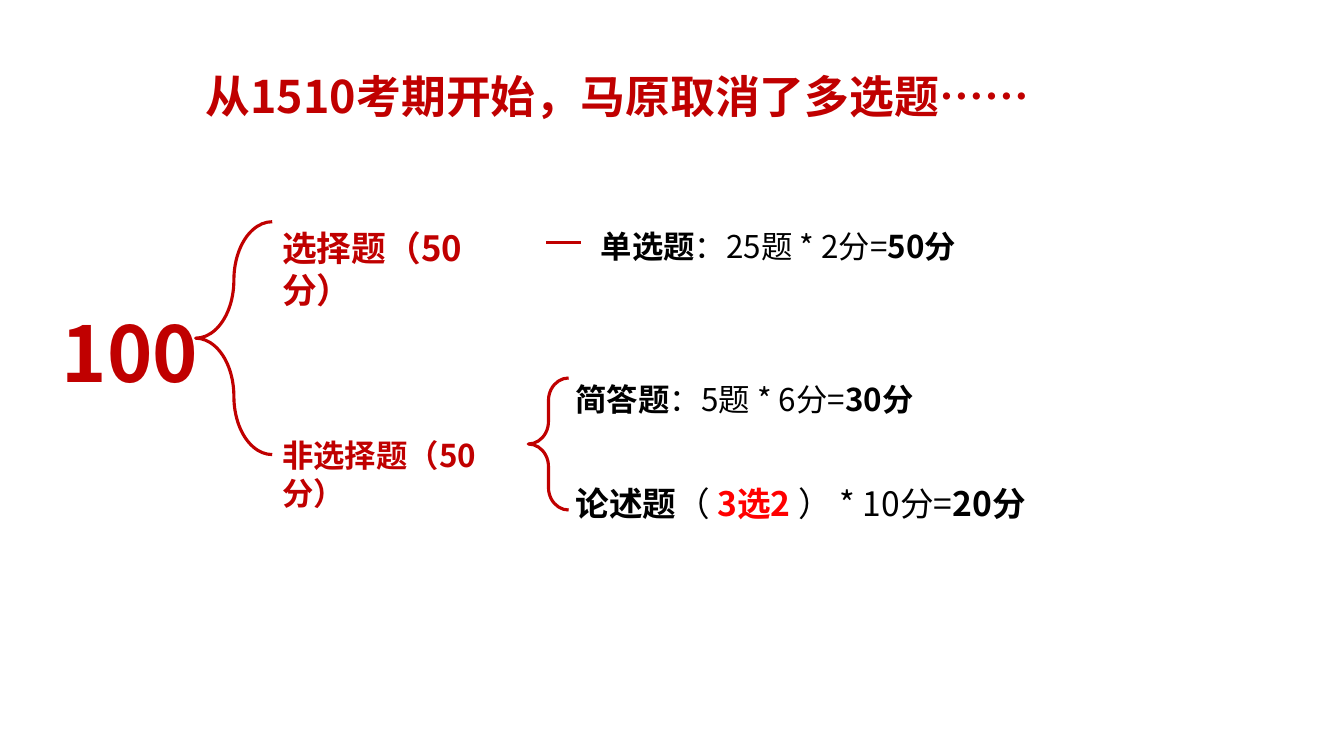
from lxml import etree
from pptx import Presentation
from pptx.dml.color import RGBColor
from pptx.enum.shapes import MSO_CONNECTOR, MSO_SHAPE
from pptx.enum.text import MSO_ANCHOR, MSO_AUTO_SIZE, PP_ALIGN
from pptx.oxml.ns import qn
from pptx.util import Inches, Pt

LINE = MSO_CONNECTOR.STRAIGHT
BRACE = MSO_SHAPE.LEFT_BRACE
TOP = MSO_ANCHOR.TOP
FIXED = MSO_AUTO_SIZE.NONE
LEFT, CENTER = PP_ALIGN.LEFT, PP_ALIGN.CENTER

DARK = RGBColor(0xC0, 0x00, 0x00)
RED = RGBColor(0xFF, 0x00, 0x00)
BLACK = RGBColor(0x00, 0x00, 0x00)
SANS = "Noto Sans CJK SC"
SCORE = "Noto Sans CJK JP"
STROKE = Pt(2.25)
ROW = 0.61


def write(shape, runs, size, align=LEFT, face=SANS):
    """Fill a shape with one paragraph of (text, bold, colour) runs."""
    frame = shape.text_frame
    frame.word_wrap = True
    frame.auto_size = FIXED
    frame.vertical_anchor = TOP
    para = frame.paragraphs[0]
    para.alignment = align
    for text, bold, color in runs:
        run = para.add_run()
        run.text = text
        font = run.font
        font.name, font.size, font.bold = face, Pt(size), bold
        font.color.rgb = color
        east = etree.Element(qn("a:ea"), typeface=face)
        run._r.rPr.find(qn("a:latin")).addnext(east)


def add_text(slide, box, runs, size, align=LEFT, face=SANS):
    shape = slide.shapes.add_textbox(*map(Inches, box))
    write(shape, runs, size, align, face)


def add_brace(slide, box, curve):
    brace = slide.shapes.add_shape(BRACE, *map(Inches, box))
    brace.shadow.inherit = False
    brace.fill.background()
    brace.line.color.rgb = DARK
    brace.line.width = STROKE
    brace.adjustments[0] = curve
    brace.adjustments[1] = 0.5


def add_dash(slide, left, top, width):
    dash = slide.shapes.add_connector(
        LINE, Inches(left), Inches(top), Inches(left + width), Inches(top))
    dash.line.color.rgb = DARK
    dash.line.width = STROKE
    etree.SubElement(dash._element.spPr, qn("a:effectLst"))


def add_title(slide, box):
    title = slide.shapes.title
    title.left, title.top, title.width, title.height = map(Inches, box)
    write(title, [("从1510考期开始，马原取消了多选题……", True, DARK)], 32)


def add_total(slide, left, top):
    """Place the full score and the brace that splits it in two."""
    add_text(slide, (left, top + 0.78, 2.56, 1.02),
             [("100", True, DARK)], 55, CENTER, SCORE)
    add_brace(slide, (left + 1.93, top, 0.76, 2.31), 0.76)


def add_choice(slide, left, top):
    add_text(slide, (left, top, 2.47, ROW), [("选择题（50分）", True, DARK)], 24.8)
    add_dash(slide, left + 2.72, top + 0.21, 0.34)
    add_text(slide, (left + 3.16, top, 4.27, ROW),
             [("单选题", True, BLACK), ("：25题 * 2分=", False, BLACK),
              ("50分", True, BLACK)], 22.4)


def add_essay(slide, left, top):
    """Place the written part: its label, brace and two kinds of question."""
    add_text(slide, (left, top + 0.56, 2.62, ROW),
             [("非选择题（50分）", True, DARK)], 22.4)
    add_brace(slide, (left + 2.54, top + 0.03, 0.4, 1.31), 0.56)
    add_text(slide, (left + 2.91, top, 4.01, ROW),
             [("简答题", True, BLACK), ("：5题 * 6分=", False, BLACK),
              ("30分", True, BLACK)], 22.4)
    add_text(slide, (left + 2.91, top + 1.02, 5.51, ROW),
             [("论述题", True, BLACK), ("（ ", False, BLACK),
              ("3选2 ", True, RED), ("） * 10分=", False, BLACK),
              ("20分", True, BLACK)], 24)


def main():
    deck = Presentation()
    deck.slide_width, deck.slide_height = Inches(13.33), Inches(7.5)
    slide = deck.slides.add_slide(deck.slide_layouts[5])
    add_title(slide, (1.94, 0.63, 8.43, 0.64))
    add_total(slide, 0.01, 2.2)
    add_choice(slide, 2.7, 2.2)
    add_essay(slide, 2.7, 3.72)
    deck.save("out.pptx")


if __name__ == "__main__":
    main()
